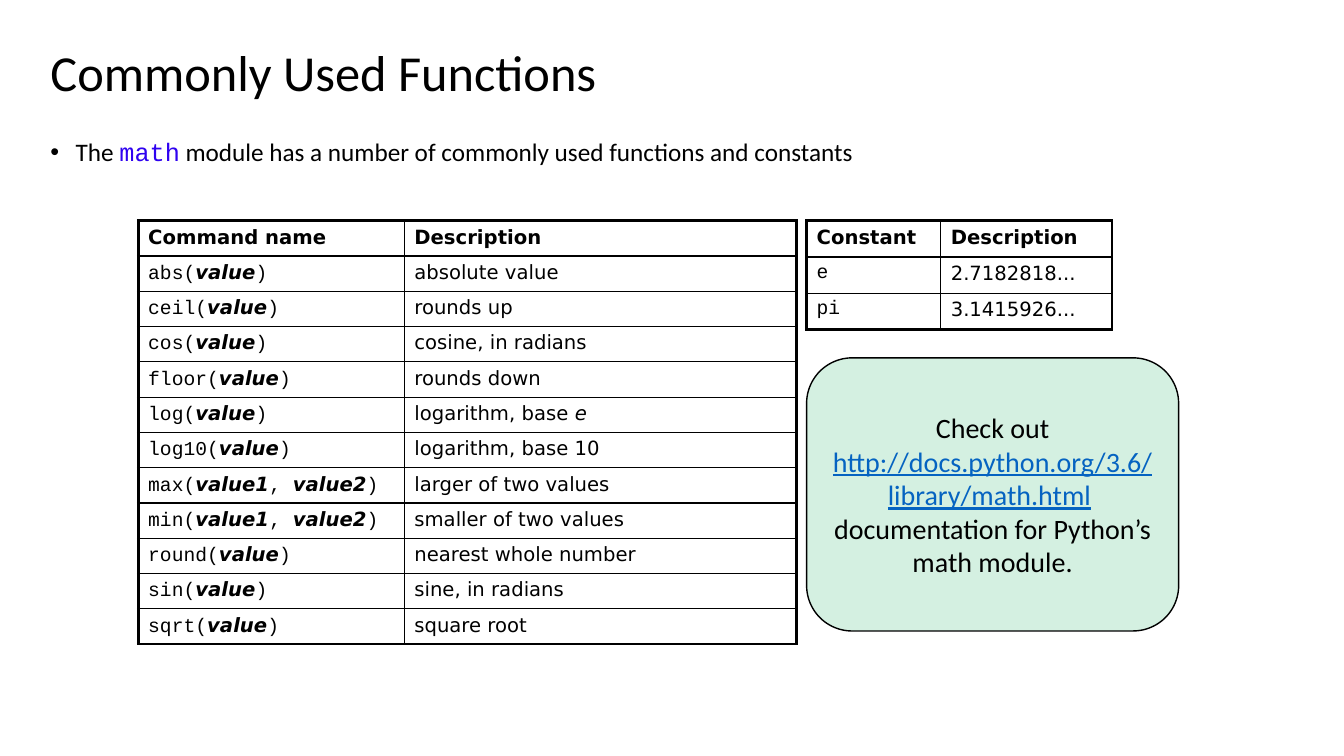
from dataclasses import dataclass, field

from lxml.etree import SubElement
from pptx import Presentation
from pptx.dml.color import RGBColor
from pptx.enum.shapes import MSO_SHAPE
from pptx.enum.text import MSO_ANCHOR as ANCHOR, MSO_AUTO_SIZE as AUTO, PP_ALIGN as ALIGN
from pptx.oxml import parse_xml
from pptx.oxml.ns import nsdecls, qn
from pptx.util import Inches, Pt

BLACK = RGBColor(0x00, 0x00, 0x00)
CODE_BLUE = RGBColor(0x2F, 0x02, 0xF0)
LINK_BLUE = RGBColor(0x05, 0x63, 0xC1)
MINT = RGBColor(0xD4, 0xF0, 0xE1)

SANS, MONO, TABLE_FONT = "Calibri", "Courier New", "DejaVu Sans"
THICK, THIN = 2.25, 1

HEADER = {"name": TABLE_FONT, "bold": True}
PLAIN = {"name": TABLE_FONT}
CODE = {"name": MONO}
ARGUMENT = {"name": TABLE_FONT, "bold": True, "italic": True}


@dataclass
class Run:
    text: str
    style: dict = field(default_factory=dict)
    color: RGBColor = BLACK


@dataclass
class TableSpec:
    left: float
    top: float
    col_widths: list[float]
    row_height: float
    rows: list[list[list[Run]]]


def command(name: str, *args: str) -> list[Run]:
    runs = [Run(f"{name}(", CODE)]
    for i, arg in enumerate(args):
        if i:
            runs.append(Run(", ", CODE))
        runs.append(Run(arg, ARGUMENT))
    return runs + [Run(")", CODE)]


def header(*labels: str) -> list[list[Run]]:
    return [[Run(label, HEADER)] for label in labels]


def add_runs(p, runs: list[Run], size: float) -> None:
    for run in runs:
        r = p.add_run()
        r.text = run.text
        style = {"name": SANS, "size": Pt(size), "bold": False, "italic": False}
        for key, value in (style | run.style).items():
            setattr(r.font, key, value)
        r.font.color.rgb = run.color


def place(sp, left: float, top: float, width: float, height: float) -> None:
    box = {"left": left, "top": top, "width": width, "height": height}
    for key, value in box.items():
        setattr(sp, key, Inches(value))


def set_borders(cell, widths: dict[str, float]) -> None:
    tc_pr = cell._tc.get_or_add_tcPr()
    for i, (side, width) in enumerate(widths.items()):
        tc_pr.insert(i, parse_xml(
            f'<a:ln{side} {nsdecls("a")} w="{int(Pt(width))}"><a:solidFill>'
            f'<a:srgbClr val="{BLACK}"/></a:solidFill></a:ln{side}>'))


def add_grid(slide, spec: TableSpec) -> None:
    n_rows, n_cols = len(spec.rows), len(spec.col_widths)
    table = slide.shapes.add_table(
        n_rows, n_cols, Inches(spec.left), Inches(spec.top),
        Inches(sum(spec.col_widths)), Inches(spec.row_height * n_rows)).table
    table.first_row = table.horz_banding = False
    for column, width in zip(table.columns, spec.col_widths):
        column.width = Inches(width)
    for i, row in enumerate(spec.rows):
        table.rows[i].height = Inches(spec.row_height)
        for j, runs in enumerate(row):
            cell = table.cell(i, j)
            cell.fill.background()
            set_borders(cell, {
                "L": THICK if j == 0 else THIN,
                "R": THICK if j == n_cols - 1 else THIN,
                "T": THICK if i == 0 else THIN,
                "B": THICK if i == n_rows - 1 else THIN,
            })
            p = cell.text_frame.paragraphs[0]
            spacing = SubElement(p._p.get_or_add_pPr(), qn("a:spcBef"))
            SubElement(spacing, qn("a:spcPct")).set("val", "20000")
            add_runs(p, runs, 14)


def add_title(slide) -> None:
    sp = slide.shapes.title
    place(sp, 0.4, 0.24, 11.5, 1.02)
    tf = sp.text_frame
    tf.vertical_anchor = ANCHOR.MIDDLE
    tf.auto_size = AUTO.NONE
    p = tf.paragraphs[0]
    p.alignment = ALIGN.LEFT
    p.line_spacing = 0.9
    add_runs(p, [Run("Commonly Used Functions")], 36)


def add_body(slide) -> None:
    sp = slide.placeholders[1]
    place(sp, 0.4, 1.34, 12.01, 5.45)
    tf = sp.text_frame
    tf.auto_size = AUTO.NONE
    p = tf.paragraphs[0]
    p.line_spacing = 0.9
    p.space_before = Pt(10)
    p_pr = p._p.get_or_add_pPr()
    p_pr.set("marL", str(Inches(0.25)))
    p_pr.set("indent", str(Inches(-0.25)))
    SubElement(p_pr, qn("a:buFont")).set("typeface", "Arial")
    SubElement(p_pr, qn("a:buChar")).set("char", "•")
    add_runs(p, [
        Run("The "),
        Run("math", CODE, CODE_BLUE),
        Run(" module has a number of commonly used functions and constants"),
    ], 18)


def add_callout(slide) -> None:
    sp = slide.shapes.add_shape(
        MSO_SHAPE.ROUNDED_RECTANGLE, Inches(8), Inches(3.55), Inches(3.69), Inches(2.71))
    sp.shadow.inherit = False
    sp.fill.solid()
    sp.fill.fore_color.rgb = MINT
    sp.line.color.rgb = BLACK
    sp.line.width = Pt(1)
    tf = sp.text_frame
    tf.word_wrap = True
    tf.vertical_anchor = ANCHOR.MIDDLE
    link = Run("http://docs.python.org/3.6/library/math.html", {"underline": True}, LINK_BLUE)
    paragraphs = [
        [Run("Check out "), link, Run(" ")],
        [Run("documentation for Python’s math module.")],
    ]
    for i, runs in enumerate(paragraphs):
        p = tf.add_paragraph() if i else tf.paragraphs[0]
        p.alignment = ALIGN.CENTER
        add_runs(p, runs, 20)


COMMANDS = TableSpec(1.37, 2.19, [2.64, 3.89], 0.35, [
    header("Command name", "Description"),
    [command("abs", "value"), [Run("absolute value", PLAIN)]],
    [command("ceil", "value"), [Run("rounds up", PLAIN)]],
    [command("cos", "value"), [Run("cosine, in radians", PLAIN)]],
    [command("floor", "value"), [Run("rounds down", PLAIN)]],
    [command("log", "value"),
     [Run("logarithm, base ", PLAIN), Run("e", PLAIN | {"italic": True})]],
    [command("log10", "value"), [Run("logarithm, base 10", PLAIN)]],
    [command("max", "value1", "value2"), [Run("larger of two values", PLAIN)]],
    [command("min", "value1", "value2"), [Run("smaller of two values", PLAIN)]],
    [command("round", "value"), [Run("nearest whole number", PLAIN)]],
    [command("sin", "value"), [Run("sine, in radians", PLAIN)]],
    [command("sqrt", "value"), [Run("square root", PLAIN)]],
])

CONSTANTS = TableSpec(8, 2.19, [1.33, 1.7], 0.36, [
    header("Constant", "Description"),
    [[Run("e", CODE)], [Run("2.7182818...", PLAIN)]],
    [[Run("pi", CODE)], [Run("3.1415926...", PLAIN)]],
])


def main() -> None:
    prs = Presentation()
    prs.slide_width, prs.slide_height = Inches(13.33), Inches(7.5)
    slide = prs.slides.add_slide(prs.slide_layouts[1])
    add_title(slide)
    add_body(slide)
    for spec in (COMMANDS, CONSTANTS):
        add_grid(slide, spec)
    add_callout(slide)
    prs.save("out.pptx")


if __name__ == "__main__":
    main()
